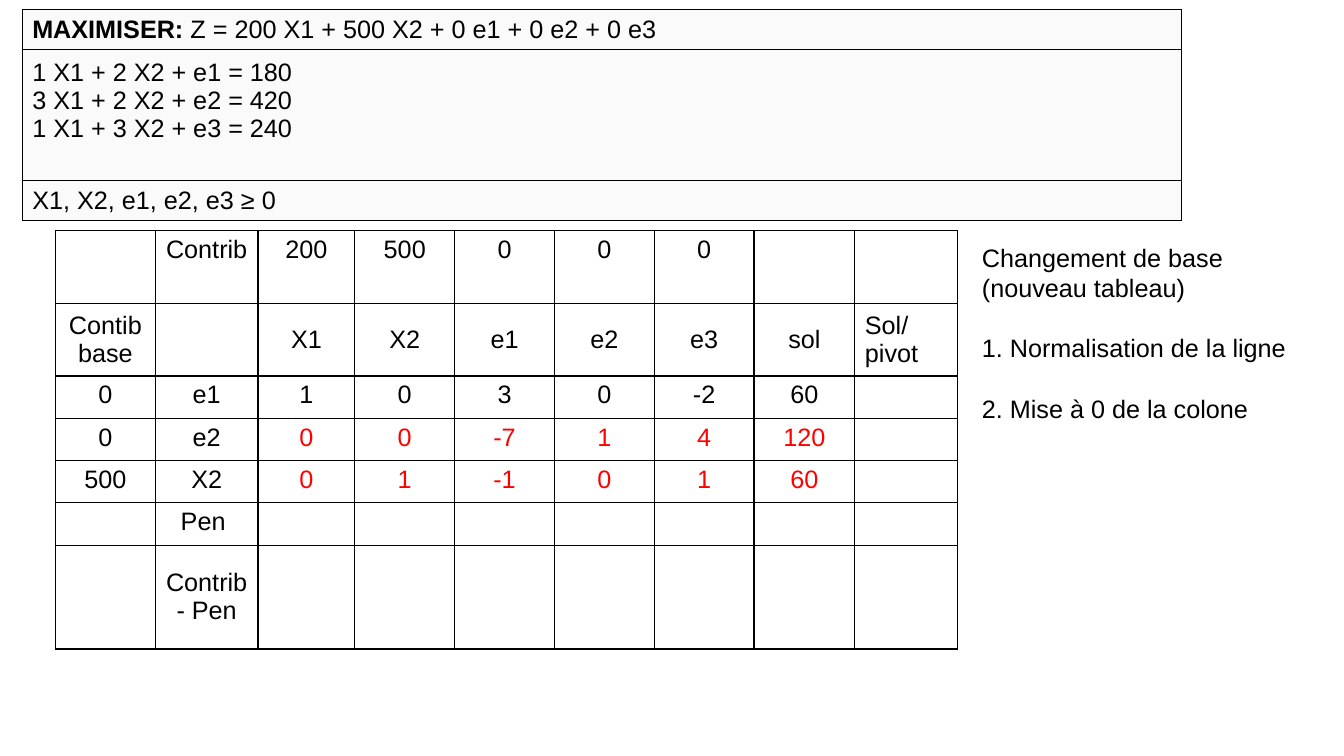
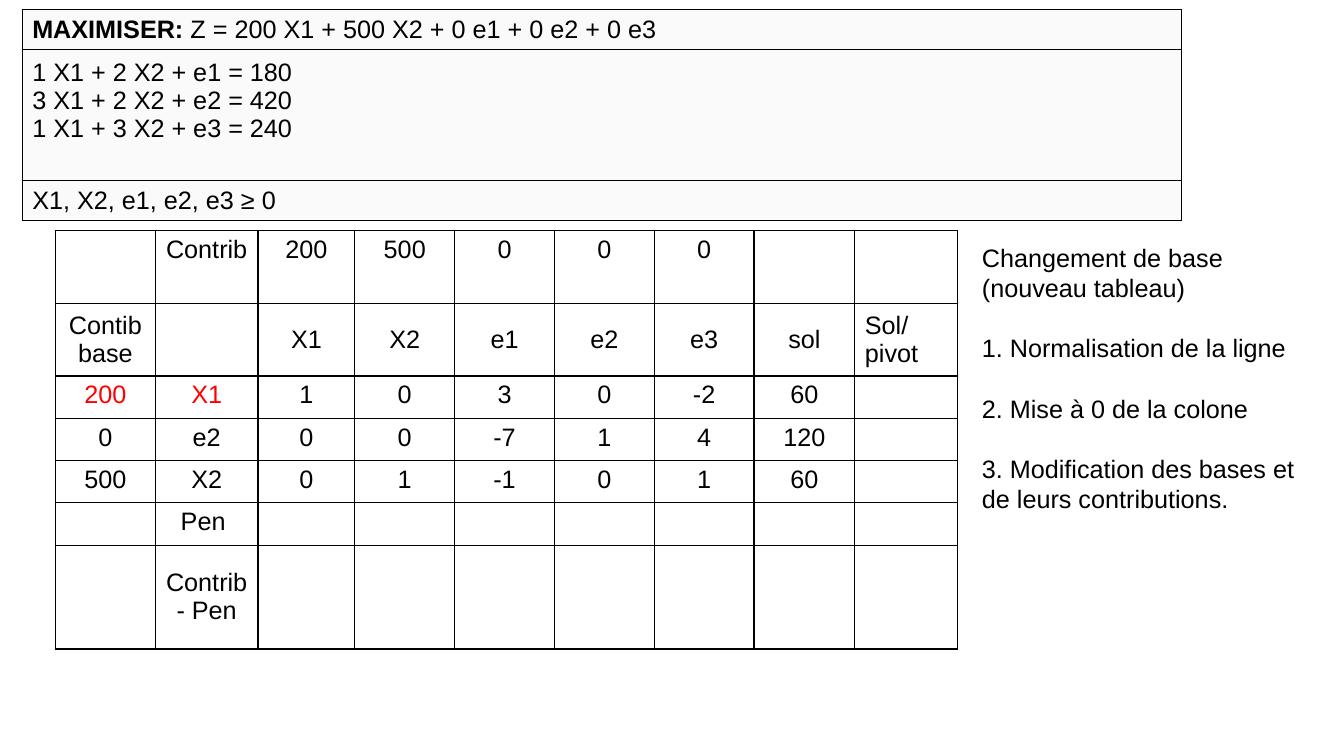
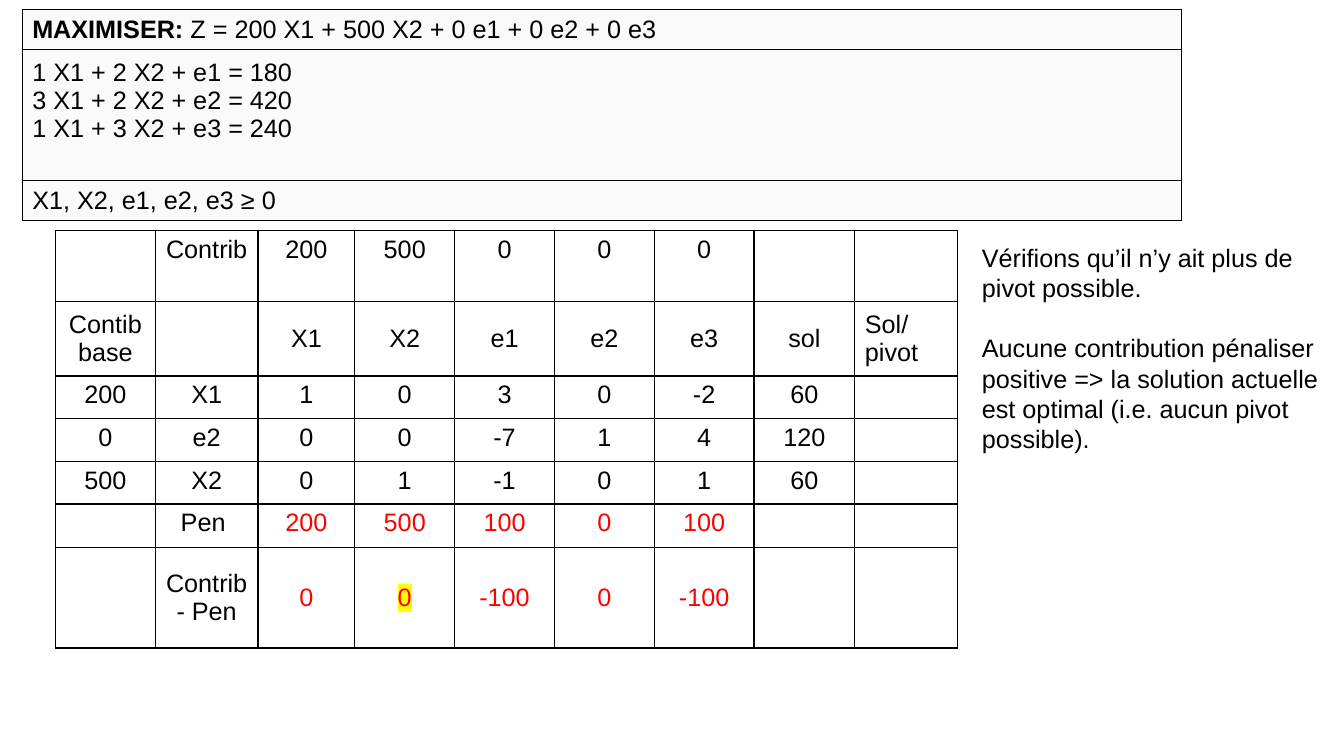
from dataclasses import dataclass
from typing import Any

from lxml import etree
from pptx import Presentation
from pptx import util as u
from pptx.dml.color import RGBColor
from pptx.enum import text
from pptx.oxml import ns

# Shared look
EMU_PER_PX = 9144
BLACK = RGBColor(0x00, 0x00, 0x00)
RED = RGBColor(0xFF, 0x00, 0x00)
YELLOW = RGBColor(0xFF, 0xFF, 0x00)
PALE_GREY = RGBColor(0xFA, 0xFA, 0xFA)
FONT = {"name": "Arial", "size": u.Pt(18)}
NOTE_GAP = u.Pt(21.6)
LEFT, CENTER = text.PP_ALIGN.LEFT, text.PP_ALIGN.CENTER
TOP, MIDDLE = text.MSO_ANCHOR.TOP, text.MSO_ANCHOR.MIDDLE

# Contents common to all slides
GOAL = "MAXIMISER: "
OBJECTIVE = "Z = 200 X1 + 500 X2 + 0 e1 + 0 e2 + 0 e3"
CONSTRAINTS = ["1 X1 + 2 X2 + e1 = 180", "3 X1 + 2 X2 + e2 = 420", "1 X1 + 3 X2 + e3 = 240"]
SIGNS = "X1, X2, e1, e2, e3 ≥ 0"
HEADERS = [
    ["", "Contrib", "200", "500", "0", "0", "0", "", ""],
    ["Contib base", "", "X1", "X2", "e1", "e2", "e3", "sol", "Sol/pivot"],
]
BODY = [
    ["1", "0", "3", "0", "-2", "60", ""],
    ["0", "0", "-7", "1", "4", "120", ""],
    ["0", "1", "-1", "0", "1", "60", ""],
]
EMPTY_ROW = [""] * 7
COLUMNS = [99, 102, 96, 99, 99, 99, 99, 100, 102]
MIDDLE_ROWS = {1, 6}

Cells = frozenset[tuple[int, int]]


@dataclass(frozen=True)
class Step:
    """One simplex step: base variables, penalty rows, marked cells and notes."""
    base: list[list[str]]
    notes: list[str]
    red: Cells
    rows: list[int]
    penalty: list[str]
    margin: list[str]
    highlighted: Cells = frozenset()


def block(rows: range, columns: range) -> Cells:
    return frozenset((row, column) for row in rows for column in columns)


BASIS_CHANGE = [
    "Changement de base (nouveau tableau)",
    "1. Normalisation de la ligne",
    "2. Mise à 0 de la colone",
]
CHANGE_ROWS = [72, 72, 42, 42, 42, 42, 103]
FINAL_BASE = [["200", "X1"], ["0", "e2"], ["500", "X2"]]
STEPS = [
    Step([["0", "e1"], *FINAL_BASE[1:]], BASIS_CHANGE, block(range(3, 5), range(2, 8)),
         CHANGE_ROWS, EMPTY_ROW, EMPTY_ROW),
    Step(FINAL_BASE, [*BASIS_CHANGE, "3. Modification des bases et de leurs contributions."],
         block(range(2, 3), range(2)), CHANGE_ROWS, EMPTY_ROW, EMPTY_ROW),
    Step(FINAL_BASE,
         ["Vérifions qu’il n’y ait plus de pivot possible.",
          "Aucune contribution pénaliser positive => la solution actuelle est optimal "
          "(i.e. aucun pivot possible)."],
         block(range(5, 7), range(2, 7)), [70, 74, 42, 43, 42, 43, 100],
         ["200", "500", "100", "0", "100", "", ""],
         ["0", "0", "-100", "0", "-100", "", ""],
         frozenset({(6, 3)})),
]


def px(length: int) -> int:
    return u.Emu(length * EMU_PER_PX)


def apply(target: Any, **values: Any) -> None:
    for name, value in values.items():
        setattr(target, name, value)


def add_run(paragraph: Any, words: str, color: RGBColor = BLACK, bold: bool = False) -> Any:
    run = paragraph.add_run()
    run.text = words
    apply(run.font, bold=bold, **FONT)
    run.font.color.rgb = color
    return run


def highlight(run: Any, color: RGBColor) -> None:
    mark = etree.Element(ns.qn("a:highlight"))
    etree.SubElement(mark, ns.qn("a:srgbClr"), val=str(color))
    run.font.fill  # the highlight follows the solid fill
    run._r.get_or_add_rPr().find(ns.qn("a:solidFill")).addnext(mark)


def add_border(cell: Any, width: int) -> None:
    properties = cell._tc.get_or_add_tcPr()
    for side in ("lnL", "lnR", "lnT", "lnB"):
        line = etree.SubElement(properties, ns.qn(f"a:{side}"), w=str(width))
        fill = etree.SubElement(line, ns.qn("a:solidFill"))
        etree.SubElement(fill, ns.qn("a:srgbClr"), val=str(BLACK))


def add_grid(slide: Any, left: int, top: int, columns: list[int], rows: list[int],
             border: int, fill: RGBColor | None = None) -> Any:
    """Add a table with plain bordered cells."""
    table = slide.shapes.add_table(len(rows), len(columns), px(left), px(top),
                                   px(sum(columns)), px(sum(rows))).table
    apply(table, first_row=False, horz_banding=False)
    for column, width in zip(table.columns, columns):
        column.width = px(width)
    for row, height in zip(table.rows, rows):
        row.height = px(height)
    for cell in table.iter_cells():
        add_border(cell, border)
        if fill is None:
            cell.fill.background()
        else:
            cell.fill.solid()
            cell.fill.fore_color.rgb = fill
        apply(cell.text_frame.paragraphs[0].font, **FONT)
    return table


def add_problem(slide: Any) -> None:
    """Objective, constraints and signs of the linear programme."""
    table = add_grid(slide, 22, 9, [1150], [40, 130, 40], u.Pt(0.75), PALE_GREY)
    objective, constraints, signs = (table.cell(row, 0) for row in range(3))
    for cell in (objective, signs):
        cell.vertical_anchor = MIDDLE
    paragraph = objective.text_frame.paragraphs[0]
    add_run(paragraph, GOAL, bold=True)
    add_run(paragraph, OBJECTIVE)
    apply(constraints, vertical_anchor=TOP, margin_top=px(9))
    for index, line in enumerate(CONSTRAINTS):
        frame = constraints.text_frame
        add_run(frame.add_paragraph() if index else frame.paragraphs[0], line)
    add_run(signs.text_frame.paragraphs[0], SIGNS)


def add_tableau(slide: Any, step: Step) -> None:
    """Simplex tableau of one step."""
    values = [
        *HEADERS,
        *(base + body for base, body in zip(step.base, BODY)),
        ["", "Pen ", *step.penalty],
        ["", "Contrib - Pen", *step.margin],
    ]
    table = add_grid(slide, 55, 229, COLUMNS, step.rows, u.Pt(0.96))
    for row, line in enumerate(values):
        for column, words in enumerate(line):
            if not words:
                continue
            cell = table.cell(row, column)
            cell.vertical_anchor = MIDDLE if row in MIDDLE_ROWS else TOP
            paragraph = cell.text_frame.paragraphs[0]
            paragraph.alignment = LEFT if column == len(COLUMNS) - 1 else CENTER
            run = add_run(paragraph, words, RED if (row, column) in step.red else BLACK)
            if (row, column) in step.highlighted:
                highlight(run, YELLOW)


def add_notes_box(slide: Any, notes: list[str]) -> None:
    """Explanation beside the tableau."""
    frame = slide.shapes.add_textbox(px(964), px(235), px(361), px(365)).text_frame
    frame.word_wrap = True
    for index, note in enumerate(notes):
        paragraph = frame.add_paragraph() if index else frame.paragraphs[0]
        paragraph.space_before = NOTE_GAP if index else u.Pt(0)
        add_run(paragraph, note)


def main() -> None:
    presentation = Presentation()
    apply(presentation, slide_width=px(1333), slide_height=px(750))
    for step in STEPS:
        slide = presentation.slides.add_slide(presentation.slide_layouts[6])
        add_problem(slide)
        add_tableau(slide, step)
        add_notes_box(slide, step.notes)
    presentation.save("out.pptx")


if __name__ == "__main__":
    main()
